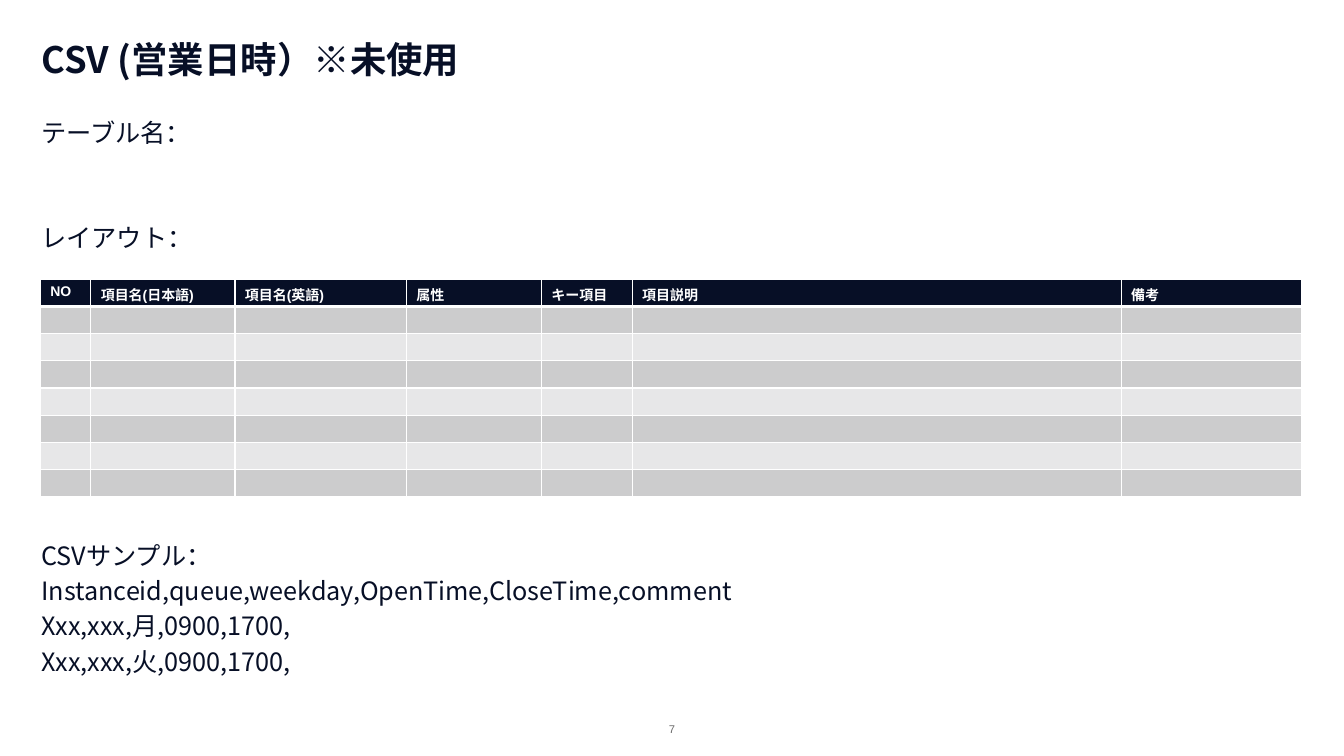
from lxml.etree import SubElement
from pptx import Presentation
from pptx.dml.color import RGBColor
from pptx.enum.text import MSO_ANCHOR, PP_ALIGN
from pptx.oxml.ns import qn
from pptx.util import Inches, Pt

NAVY = RGBColor(0x07, 0x0F, 0x26)
WHITE = RGBColor(0xFF, 0xFF, 0xFF)
GRAY = RGBColor(0x6B, 0x6B, 0x6B)
BANDS = (RGBColor(0xCC, 0xCC, 0xCD), RGBColor(0xE7, 0xE7, 0xE8))

JAPANESE_FONT = "Noto Sans CJK JP"
LATIN_FONT = "Arial"
LEFT, WIDTH = 0.41, 12.52
BODY_TOP, LINE_PITCH = 1.11, 0.35


class SlideBuilder:
    """Holds the style and the current slide."""

    def __init__(self, presentation):
        self.slide = presentation.slides.add_slide(presentation.slide_layouts[5])

    def format_runs(self, paragraph, size, color, font=JAPANESE_FONT, bold=False):
        for run in paragraph.runs:
            run.font.size = Pt(size)
            run.font.bold = bold
            run.font.name = font
            run.font.color.rgb = color
            SubElement(run.font._element, qn("a:ea"), typeface=JAPANESE_FONT)

    def prepare_frame(self, frame, anchor):
        frame.margin_left = frame.margin_right = 0
        frame.margin_top = frame.margin_bottom = 0
        frame.word_wrap = True
        frame.vertical_anchor = anchor

    def title(self, text, top, height):
        shape = self.slide.shapes.title
        shape.left, shape.top = Inches(LEFT), Inches(top)
        shape.width, shape.height = Inches(WIDTH), Inches(height)
        frame = shape.text_frame
        self.prepare_frame(frame, MSO_ANCHOR.MIDDLE)
        frame.text = text
        frame.paragraphs[0].alignment = PP_ALIGN.LEFT
        self.format_runs(frame.paragraphs[0], 26, NAVY, bold=True)

    def body_text(self, first_line, lines):
        """Place lines on the body grid, starting at the given grid line."""
        shape = self.slide.shapes.add_textbox(
            Inches(LEFT), Inches(BODY_TOP + first_line * LINE_PITCH),
            Inches(WIDTH), Inches(len(lines) * LINE_PITCH))
        frame = shape.text_frame
        self.prepare_frame(frame, MSO_ANCHOR.TOP)
        frame.text = "\n".join(lines)
        for paragraph in frame.paragraphs:
            paragraph.line_spacing = Inches(LINE_PITCH)
            self.format_runs(paragraph, 18, NAVY)

    def page_number(self, text):
        shape = self.slide.shapes.add_textbox(
            Inches(6.5), Inches(7.18), Inches(0.33), Inches(0.1))
        frame = shape.text_frame
        self.prepare_frame(frame, MSO_ANCHOR.MIDDLE)
        frame.text = text
        frame.paragraphs[0].alignment = PP_ALIGN.CENTER
        self.format_runs(frame.paragraphs[0], 8, GRAY, LATIN_FONT)

    def cell_borders(self, cell, top, bottom):
        properties = cell._tc.get_or_add_tcPr()
        for side, width in (("L", 1), ("R", 1), ("T", top), ("B", bottom)):
            line = SubElement(properties, qn(f"a:ln{side}"), w=str(Pt(width)))
            fill = SubElement(line, qn("a:solidFill"))
            SubElement(fill, qn("a:srgbClr"), val=str(WHITE))

    def table(self, top, headers, widths, body_rows, row_height):
        row_count = body_rows + 1
        table = self.slide.shapes.add_table(
            row_count, len(headers), Inches(0.4), Inches(top),
            Inches(sum(widths)), Inches(row_count * row_height)).table
        for column, width in zip(table.columns, widths):
            column.width = Inches(width)
        for row_index, row in enumerate(table.rows):
            row.height = Inches(row_height)
            is_header = row_index == 0
            for cell, header in zip(row.cells, headers):
                self.cell_borders(cell, top=3 if row_index == 1 else 1,
                                  bottom=3 if is_header else 1)
                cell.margin_top = cell.margin_bottom = Inches(0.05)
                cell.fill.solid()
                cell.fill.fore_color.rgb = NAVY if is_header else BANDS[(row_index - 1) % 2]
                paragraph = cell.text_frame.paragraphs[0]
                if is_header:
                    paragraph.text = header
                    self.format_runs(paragraph, 10, WHITE, LATIN_FONT, bold=True)
                else:
                    # Keeps empty rows from growing to the default text size
                    end = SubElement(paragraph._p, qn("a:endParaRPr"), sz="1000")
                    SubElement(end, qn("a:latin"), typeface=LATIN_FONT)


presentation = Presentation()
presentation.slide_width, presentation.slide_height = Inches(13.33), Inches(7.5)
builder = SlideBuilder(presentation)

# Title and section labels
builder.title("CSV (営業日時）※未使用", top=0.37, height=0.43)
builder.body_text(0, ["テーブル名："])
builder.body_text(3, ["レイアウト："])

# Layout table
COLUMNS = {"NO": 0.5, "項目名(日本語)": 1.43, "項目名(英語)": 1.7, "属性": 1.34,
           "キー項目": 0.9, "項目説明": 4.85, "備考": 1.79}
builder.table(2.77, list(COLUMNS), list(COLUMNS.values()), body_rows=7, row_height=0.27)

# CSV sample
builder.body_text(12, [
    "CSVサンプル：",
    "Instanceid,queue,weekday,OpenTime,CloseTime,comment",
    *(f"Xxx,xxx,{weekday},0900,1700," for weekday in "月火"),
])

# Page number
builder.page_number("7")

presentation.save("out.pptx")
